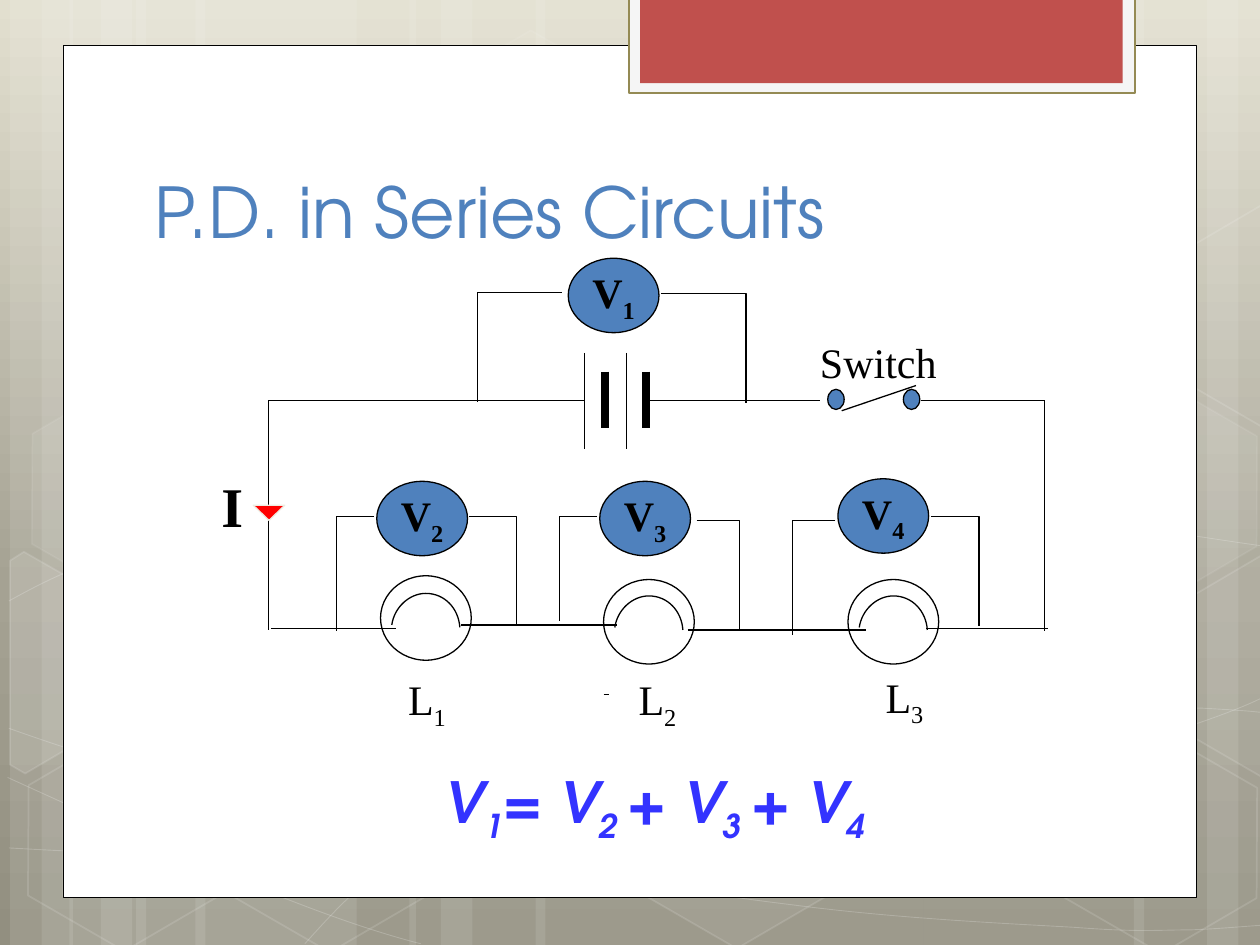
from copy import deepcopy
from lxml.etree import SubElement as sub
from pptx import Presentation
from pptx.dml.color import RGBColor as RGB
from pptx.enum.shapes import MSO_CONNECTOR as Link, MSO_SHAPE as Kind
from pptx.enum.text import MSO_ANCHOR as Anchor, PP_ALIGN as Align
from pptx.oxml.ns import qn
from pptx.util import Pt

PX = 9144  # EMU in one px, 100 px to the inch
HUE = {
    "white": "FFFFFF", "black": "000000", "blue": "4F81BD", "red": "FF0000",
    "brick": "C0504D", "frame": "F5F5F5", "olive": "948A54", "cream": "EEECE1",
    "sum": "3333FF", "top": "E2DFCF", "mid": "A5A293", "low": "928F80",
}
SERIF, SANS = "Times New Roman", "TeX Gyre Adventor"


def paint(item, fill=None, line="black", width=0.75, alpha=100, fade=100):
    """Set fill, line and their opacities in percent, and drop the shadow."""
    if fill:
        item.fill.solid()
        item.fill.fore_color.rgb = RGB.from_string(HUE[fill])
    elif hasattr(item, "fill"):
        item.fill.background()
    if line:
        item.line.color.rgb = RGB.from_string(HUE[line])
        item.line.width = Pt(width)
    else:
        item.line.fill.background()
    props = item._element.spPr
    for base, part in ((props, alpha), (props.find(qn("a:ln")), fade)):
        tint = base.find(qn("a:solidFill") + "/" + qn("a:srgbClr"))
        if tint is not None and part < 100:
            sub(tint, qn("a:alpha")).set("val", str(part * 1000))
    sub(props, qn("a:effectLst"))
    return item


def write(item, text, size=24, font=SERIF, hue="black", bold=False, italic=False,
          anchor=Anchor.TOP, align=Align.LEFT, wrap=True):
    """Fill item with text in which every second part between bars is a subscript."""
    frame = item.text_frame
    frame.word_wrap = wrap
    frame.vertical_anchor = anchor
    para = frame.paragraphs[0]
    para.alignment = align
    for i, part in enumerate(text.split("|")):
        run = para.add_run()
        run.text = part
        face = run.font
        face.name, face.size, face.bold, face.italic = font, Pt(size), bold, italic
        face.color.rgb = RGB.from_string(HUE[hue])
        if i % 2:
            face._element.set("baseline", "-25000")
    return para


deck = Presentation()
deck.slide_width, deck.slide_height = 1000 * PX, 750 * PX
slide = deck.slides.add_slide(deck.slide_layouts[6])
shapes = slide.shapes
bent = []  # outlines whose points are cubic pieces

# Background gradient
back = slide.background.fill
back.gradient()
back.gradient_angle = 270
first = back.gradient_stops[0]._gs
first.addnext(deepcopy(first))
for stop, hue, pos in zip(back.gradient_stops, ("top", "mid", "low"), (0, 0.62, 1)):
    stop.color.rgb = RGB.from_string(HUE[hue])
    stop.position = pos

# Pale stripes
for x, w in ((108, 175), (8, 50), (33, 83), (155, 175), (55, 50), (80, 83),
             (733, 175), (958, 50), (900, 83), (425, 308), (325, 50), (350, 83)):
    bar = shapes.add_shape(Kind.RECTANGLE, x * PX, 0, w * PX, 750 * PX)
    paint(bar, "white", None, alpha=10)

# Pale curves: a start, then three points for each cubic piece
curves = (
    ((7, 673), (61, 676), (115, 679), (190, 678), (265, 677), (358, 675), (458, 665),
     (558, 655), (700, 636), (792, 617), (883, 598), (977, 568), (1007, 551)),
    ((7, 477), (36, 461), (65, 446), (121, 431), (178, 416), (259, 394), (347, 387),
     (436, 380), (544, 379), (654, 387), (764, 395), (947, 426), (1007, 434)),
    ((6, 617), (127, 672), (247, 727), (334, 749)),
    ((7, 578), (38, 589), (70, 600), (128, 616), (186, 631), (273, 656), (357, 673),
     (440, 690), (545, 708), (628, 718), (711, 729), (800, 733), (853, 736),
     (905, 740), (919, 738), (945, 738), (971, 737), (989, 735), (1007, 734)),
    ((242, 749), (260, 729), (278, 709), (302, 691), (326, 673), (360, 653), (388, 639),
     (416, 625), (433, 619), (470, 609), (506, 599), (573, 585), (608, 578),
     (644, 571), (649, 571), (680, 569), (711, 566), (760, 563), (794, 562),
     (829, 561), (886, 562), (886, 562), (908, 562), (930, 562), (953, 562),
     (971, 563), (988, 564), (997, 565), (1006, 566), (1003, 565), (1006, 566)),
)
for start, *rest in curves:
    pen = shapes.build_freeform(*start, scale=PX)
    pen.add_line_segments(rest, close=False)
    bent.append(paint(pen.convert_to_shape(), None, "white", 0.5, fade=20))

# Pale hexagons, whole and cut by the slide edge
for x, y, alpha, fade in ((334, 36, 4, 8), (497, 589, 6, 12), (11, 591, 0, 12),
                          (14, 312, 7, 8), (174, 592, 0, 12), (753, 453, 10, 12),
                          (834, 593, 0, 12), (834, 314, 7, 8)):
    cell = shapes.add_shape(Kind.HEXAGON, x * PX, y * PX, 175 * PX, 152 * PX)
    cell.adjustments[0] = 0.285
    cell.rotation = 30
    paint(cell, "white" if alpha else None, "white", 1, alpha, fade)
for alpha, *rim in (
    (10, (8, 445), (19, 438), (96, 482), (95, 570), (20, 614), (8, 607)),
    (4, (926, 485), (1001, 441), (1009, 446), (1009, 613), (1002, 617), (926, 573)),
    (0, (926, 207), (1001, 163), (1010, 168), (1009, 335), (1002, 339), (926, 295)),
):
    pen = shapes.build_freeform(*rim[0], scale=PX)
    pen.add_line_segments(rim[1:])
    paint(pen.convert_to_shape(), "white" if alpha else None, "white", 1, alpha, 12)

# Page and tab
for x, y, w, h, fill, line, width in (
    (50, 36, 900, 676, "white", "black", 0.5),
    (499, -2, 402, 76, "frame", "olive", 1.25),
    (508, -2, 383, 68, "brick", None, 0),
):
    panel = shapes.add_shape(Kind.RECTANGLE, x * PX, y * PX, w * PX, h * PX)
    paint(panel, fill, line, width)

# Battery plates and straight wires
plates = [(x, 280, x, 356, 0.75) for x in (464, 497)]
plates += [(x, 295, x, 340, 4.5) for x in (480, 513)]
wires = [(*ends, 0.75) for ends in (
    (213, 318, 464, 318), (213, 318, 213, 500), (215, 499, 314, 499),
    (366, 496, 490, 496), (546, 500, 687, 500), (513, 318, 651, 318),
    (829, 318, 829, 501), (735, 499, 832, 499), (668, 326, 727, 306),
    (731, 318, 829, 318), (479, 551, 483, 551))]
for *ends, width in plates + wires:
    wire = shapes.add_connector(Link.STRAIGHT, *(n * PX for n in ends))
    paint(wire, width=width)

# Switch contacts and current arrow
for x in (657, 717):
    dot = shapes.add_shape(Kind.OVAL, x * PX, 309 * PX, 13 * PX, 16 * PX)
    paint(dot, "blue")
arrow = shapes.add_shape(Kind.ISOSCELES_TRIANGLE, 201 * PX, 401 * PX, 25 * PX, 12 * PX)
arrow.rotation = 180
paint(arrow, "red", "cream")

# Voltmeters and their leads
for n, (x, y) in enumerate(((451, 205), (299, 382), (476, 382), (665, 380)), 1):
    meter = shapes.add_shape(Kind.OVAL, x * PX, y * PX, 72 * PX, 59 * PX)
    write(paint(meter, "blue"), f"V|{n}", bold=True, anchor=Anchor.MIDDLE,
          align=Align.CENTER, wrap=False)
for near, far, top, low in (
    (525, 592, 233, 320), (446, 379, 232, 319), (739, 777, 410, 497), (663, 629, 413, 504),
    (553, 587, 413, 500), (372, 410, 410, 497), (474, 444, 410, 493), (297, 267, 410, 501),
):
    pen = shapes.build_freeform(near, top, scale=PX)
    pen.add_line_segments([(far, top), (far, low)], close=False)
    paint(pen.convert_to_shape())

# Lamps
coil = ((0, 25), (2, 11), (14, 0), (27, 0), (42, 0), (53, 12), (54, 27))
for x, y, top in ((302, 457, 471), (479, 460, 473), (673, 460, 473)):
    start, *rest = [(x + 9 + a, top + b) for a, b in coil]
    pen = shapes.build_freeform(*start, scale=PX)
    pen.add_line_segments(rest, close=False)
    bent.append(paint(pen.convert_to_shape()))
    paint(shapes.add_shape(Kind.OVAL, x * PX, y * PX, 72 * PX, 67 * PX))

# Turn each three points of a bent outline into one cubic piece
for item in bent:
    track = item._element.find(".//" + qn("a:path"))
    steps = track.findall(qn("a:lnTo"))
    for i in range(0, len(steps), 3):
        piece = sub(track, qn("a:cubicBezTo"))
        for step in steps[i:i + 3]:
            piece.append(step[0])
            track.remove(step)

# Labels, title and sum
for x, y, w, h, text, form in (
    (641, 262, 114, 50, "Switch", {}),
    (166, 369, 46, 63, "I", {"size": 32, "bold": True}),
    (314, 530, 67, 50, "L|1", {}),
    (497, 530, 67, 50, "L|2", {}),
    (693, 528, 67, 50, "L|3", {}),
    (113, 80, 768, 125, "P.D. in Series Circuits",
     {"size": 40, "font": SANS, "hue": "blue", "anchor": Anchor.BOTTOM}),
):
    write(shapes.add_textbox(x * PX, y * PX, w * PX, h * PX), text, **form)
total = shapes.add_textbox(335 * PX, 604 * PX, 380 * PX, 77 * PX)
para = write(total, "V|1|= V|2 |+ V|3 |+ V|4", size=32.4, font=SANS, hue="sum",
             bold=True, italic=True)
indent = para._p.get_or_add_pPr()
indent.set("marL", str(38 * PX))
indent.set("indent", str(-30 * PX))

deck.save("out.pptx")
